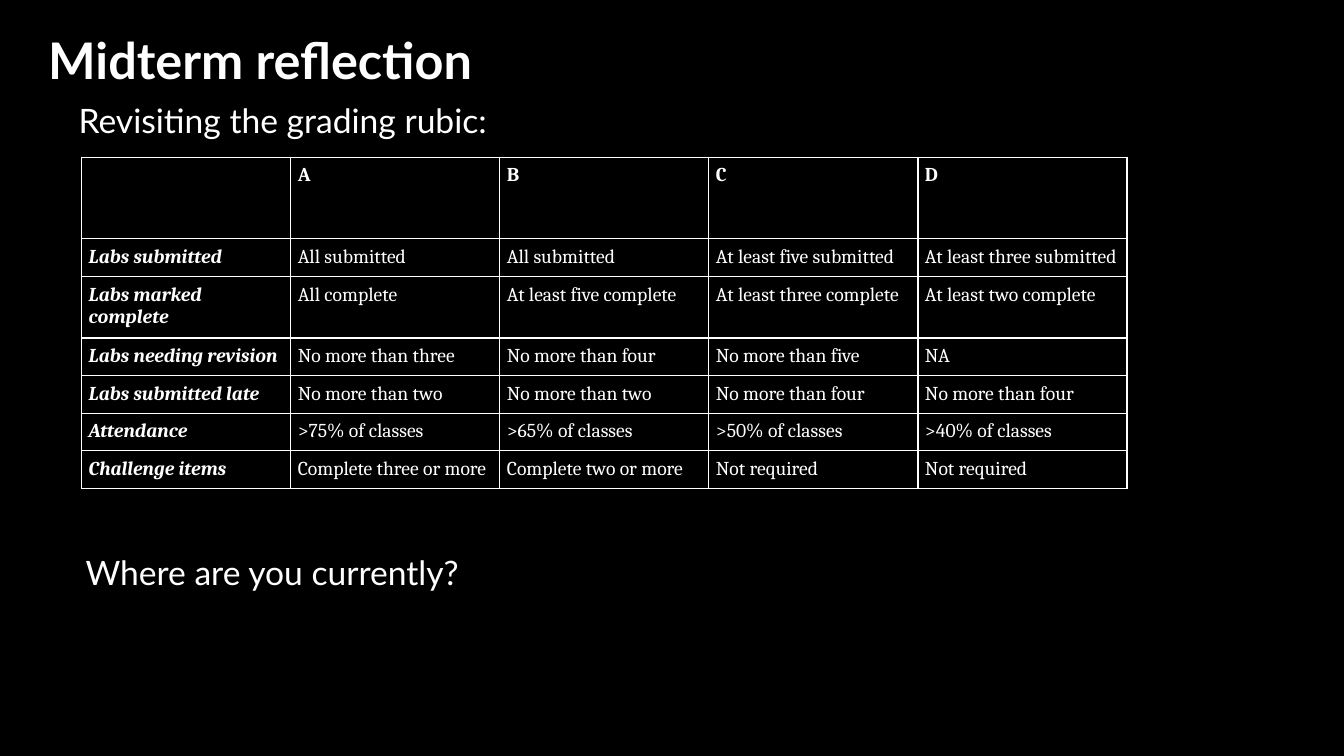
"""Build the midterm reflection slide with its grading rubric."""
import pptx
import pptx.dml.color
import pptx.enum.text
import pptx.oxml
import pptx.oxml.ns
import pptx.util
from dataclasses import dataclass

Inches = pptx.util.Inches


@dataclass(frozen=True)
class Theme:
    background: str = "000000"
    ink: str = "FFFFFF"
    heading_font: str = "Lato"
    table_font: str = "Cambria"
    title_size: int = 36
    body_size: int = 24
    cell_size: int = 14


theme = Theme()


def add_run(paragraph, words, font, size, bold=False, italic=False):
    run = paragraph.add_run()
    run.text = words
    run.font.name = font
    run.font.size = pptx.util.Pt(size)
    run.font.bold = bold
    run.font.italic = italic
    run.font.color.rgb = pptx.dml.color.RGBColor.from_string(theme.ink)


def outline_cell(cell):
    properties = cell._tc.get_or_add_tcPr()
    for position, side in enumerate(("lnL", "lnR", "lnT", "lnB")):
        border = pptx.oxml.parse_xml(
            f'<a:{side} {pptx.oxml.ns.nsdecls("a")} w="{pptx.util.Pt(1)}"><a:solidFill>'
            f'<a:srgbClr val="{theme.ink}"/></a:solidFill></a:{side}>')
        properties.insert(position, border)


deck = pptx.Presentation()
deck.slide_width = Inches(13.33)
deck.slide_height = Inches(7.5)
slide = deck.slides.add_slide(deck.slide_layouts[6])
slide.background.fill.solid()
slide.background.fill.fore_color.rgb = pptx.dml.color.RGBColor.from_string(theme.background)

headings = [
    ("Midterm reflection", (0.38, 0.24, 4.43, 0.71), 0.1, theme.title_size, True, False),
    ("Revisiting the grading rubic:", (0.18, 0.94, 12.51, 0.91), 0.6, theme.body_size, False, True),
    ("Where are you currently?", (0.75, 5.43, 9.64, 0.5), 0.1, theme.body_size, False, True),
]
for words, place, indent, size, bold, wrap in headings:
    frame = slide.shapes.add_textbox(*map(Inches, place)).text_frame
    frame.word_wrap = wrap
    frame.auto_size = pptx.enum.text.MSO_AUTO_SIZE.SHAPE_TO_FIT_TEXT
    frame.margin_left = Inches(indent)
    add_run(frame.paragraphs[0], words, theme.heading_font, size, bold)

criteria = [
    ("", "A", "B", "C", "D"),
    ("Labs submitted", "All submitted", "All submitted",
     "At least five submitted", "At least three submitted"),
    ("Labs marked complete", "All complete", "At least five complete",
     "At least three complete", "At least two complete"),
    ("Labs needing revision", "No more than three", "No more than four",
     "No more than five", "NA"),
    ("Labs submitted late", "No more than two", "No more than two",
     "No more than four", "No more than four"),
    ("Attendance", ">75% of classes", ">65% of classes",
     ">50% of classes", ">40% of classes"),
    ("Challenge items", "Complete three or more", "Complete two or more",
     "Not required", "Not required"),
]
row_heights = [0.81, 0.37, 0.61, 0.37, 0.37, 0.37, 0.37]
rubric = slide.shapes.add_table(
    len(criteria), len(criteria[0]),
    Inches(0.81), Inches(1.56), Inches(10.37), Inches(sum(row_heights))).table
rubric.first_row = False
rubric.horz_banding = False

for row_index, (entries, height) in enumerate(zip(criteria, row_heights)):
    rubric.rows[row_index].height = Inches(height)
    for column_index, entry in enumerate(entries):
        cell = rubric.cell(row_index, column_index)
        cell.fill.background()
        cell.margin_left = cell.margin_right = Inches(0.07)
        cell.margin_top = cell.margin_bottom = Inches(0.07)
        outline_cell(cell)
        if entry:
            is_label = column_index == 0
            add_run(cell.text_frame.paragraphs[0], entry, theme.table_font, theme.cell_size,
                    bold=is_label or row_index == 0, italic=is_label)

deck.save("out.pptx")
